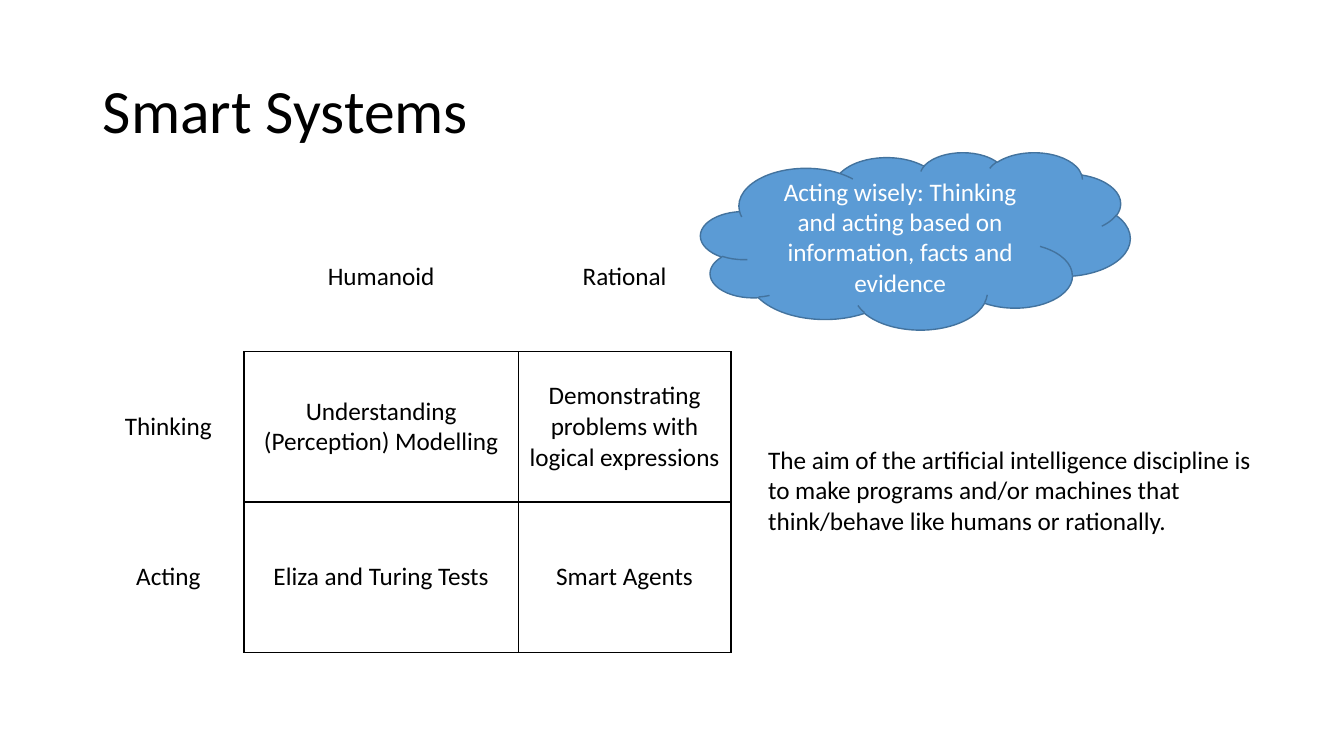
from lxml import etree
from pptx import Presentation
from pptx.dml.color import RGBColor
from pptx.enum.shapes import MSO_SHAPE
from pptx.enum.text import MSO_ANCHOR, MSO_AUTO_SIZE, PP_ALIGN
from pptx.oxml.ns import qn
from pptx.util import Pt

PX = 9144  # EMU in one px, 100 px to the inch
TITLE_ONLY = 5
CLOUD = MSO_SHAPE.CLOUD
MIDDLE, TOP = MSO_ANCHOR.MIDDLE, MSO_ANCHOR.TOP
LEFT, CENTER = PP_ALIGN.LEFT, PP_ALIGN.CENTER
NO_FIT, GROW = MSO_AUTO_SIZE.NONE, MSO_AUTO_SIZE.SHAPE_TO_FIT_TEXT

COLORS = {"ink": "000000", "paper": "FFFFFF", "cloud": "5B9BD5", "outline": "43739E"}
FONT = "Calibri"

COLUMN_WIDTHS = [150, 272, 211]
ROW_HEIGHT = 149
APPROACHES = [
    ["", "Humanoid", "Rational"],
    ["Thinking", "Understanding (Perception) Modelling",
     "Demonstrating problems with logical expressions"],
    ["Acting", "Eliza and Turing Tests", "Smart Agents"],
]
WISDOM = "Acting wisely: Thinking and acting based on information, facts and evidence"
AIM = ("The aim of the artificial intelligence discipline is to make programs and/or "
       "machines that think/behave like humans or rationally.")


def emu(*lengths):
    return [length * PX for length in lengths]


def color(name):
    return RGBColor.from_string(COLORS[name])


def set_all(target, values):
    for name, value in values.items():
        setattr(target, name, value)


def write(frame, text, size=18, ink="ink", align=LEFT, spacing=1.0):
    para = frame.paragraphs[0]
    set_all(para, {"alignment": align, "line_spacing": spacing})
    span = para.add_run()
    span.text = text
    set_all(span.font, {"name": FONT, "size": Pt(size)})
    span.font.color.rgb = color(ink)


def add_title(page, text, place):
    title = page.shapes.title
    set_all(title, dict(zip(("left", "top", "width", "height"), emu(*place))))
    set_all(title.text_frame, {"vertical_anchor": MIDDLE, "auto_size": NO_FIT})
    write(title.text_frame, text, size=44, spacing=0.9)


def add_note(page, text, place):
    box = page.shapes.add_textbox(*emu(*place))
    set_all(box.text_frame, {"word_wrap": True, "vertical_anchor": TOP, "auto_size": GROW})
    write(box.text_frame, text)


def add_cloud(page, text, place):
    cloud = page.shapes.add_shape(CLOUD, *emu(*place))
    cloud.shadow.inherit = False
    cloud.fill.solid()
    cloud.fill.fore_color.rgb = color("cloud")
    cloud.line.color.rgb = color("outline")
    cloud.line.width = Pt(1)
    set_all(cloud.text_frame, {"word_wrap": True, "vertical_anchor": MIDDLE})
    write(cloud.text_frame, text, ink="paper", align=CENTER)


def set_borders(cell, drawn_sides):
    properties = cell._tc.get_or_add_tcPr()
    for side in "LRTB":
        edge = etree.SubElement(properties, qn(f"a:ln{side}"), w=str(Pt(1)))
        if side in drawn_sides:
            fill = etree.SubElement(edge, qn("a:solidFill"))
            etree.SubElement(fill, qn("a:srgbClr"), val=COLORS["ink"])
        else:
            etree.SubElement(edge, qn("a:noFill"))


def sides_of(row, column):
    # Only the body is ruled; headings share the edge next to it
    if row and column:
        return "LRTB"
    if column:
        return "B"
    return "R" if row else ""


def add_matrix(page, left, top):
    size = (sum(COLUMN_WIDTHS), ROW_HEIGHT * len(APPROACHES))
    frame = page.shapes.add_table(len(APPROACHES), len(COLUMN_WIDTHS),
                                  *emu(left, top, *size))
    table = frame.table
    set_all(table, {"first_row": False, "horz_banding": False})
    for column, width in zip(table.columns, emu(*COLUMN_WIDTHS)):
        column.width = width
    for row_index, texts in enumerate(APPROACHES):
        table.rows[row_index].height = ROW_HEIGHT * PX
        for column_index, text in enumerate(texts):
            cell = table.cell(row_index, column_index)
            cell.vertical_anchor = MIDDLE
            set_borders(cell, sides_of(row_index, column_index))
            cell.fill.background()
            if text:
                write(cell.text_frame, text, align=CENTER)


def main():
    deck = Presentation()
    set_all(deck, dict(zip(("slide_width", "slide_height"), emu(1333, 750))))
    page = deck.slides.add_slide(deck.slide_layouts[TITLE_ONLY])

    # Heading and matrix of approaches
    add_title(page, "Smart Systems", (92, 40, 1150, 145))
    add_matrix(page, 92, 200)

    # Remarks on the right
    add_cloud(page, WISDOM, (695, 151, 426, 176))
    add_note(page, AIM, (752, 436, 506, 101))

    deck.save("out.pptx")


if __name__ == "__main__":
    main()
